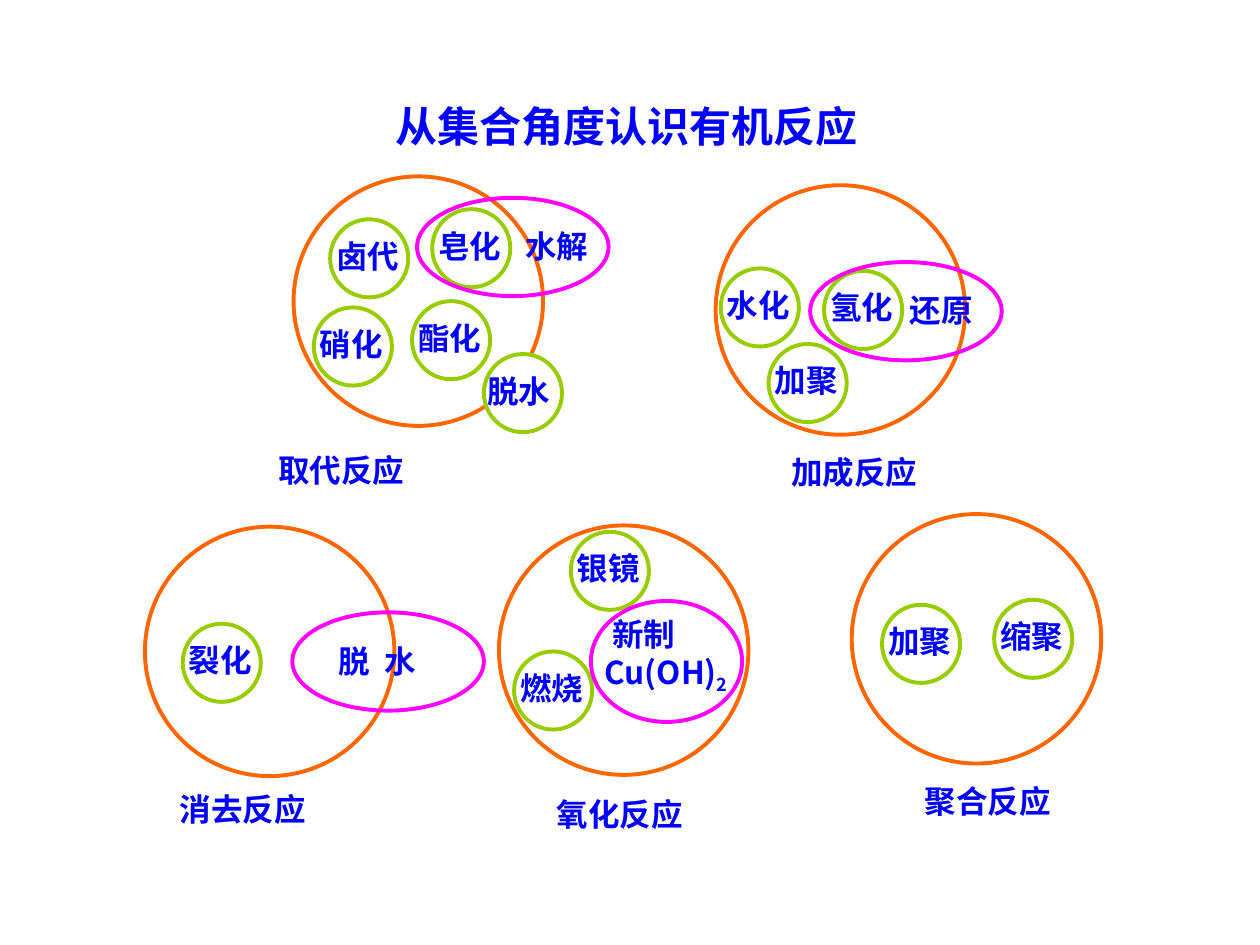
from lxml import etree
from pptx import Presentation
from pptx.dml.color import RGBColor
from pptx.enum.shapes import MSO_SHAPE
from pptx.enum.text import MSO_ANCHOR, MSO_AUTO_SIZE, PP_ALIGN
from pptx.oxml.ns import qn
from pptx.util import Inches, Pt

OVAL = MSO_SHAPE.OVAL
TOP = MSO_ANCHOR.TOP
FIXED_SIZE = MSO_AUTO_SIZE.NONE
LEFT = PP_ALIGN.LEFT

FONT = "Noto Sans CJK SC"
COLORS = {"text": "0000FF", "class": "FF6600", "reaction": "99CC00",
          "overlap": "FF00FF", "white": "FFFFFF"}
CLASS_SIZE = 1.98
REACTION_SIZE = 0.62
OVERLAP_WIDTH, OVERLAP_HEIGHT = 1.52, 0.78


class SetDiagram:
    """Draws the sets of reactions on one slide."""

    def __init__(self, slide):
        self.slide = slide

    def oval(self, shapes, left, top, width, height, color, fill=None):
        shape = shapes.add_shape(OVAL, Inches(left), Inches(top), Inches(width), Inches(height))
        shape.shadow.inherit = False
        if fill:
            shape.fill.solid()
            shape.fill.fore_color.rgb = RGBColor.from_string(COLORS[fill])
        else:
            shape.fill.background()
        shape.line.color.rgb = RGBColor.from_string(COLORS[color])
        shape.line.width = Pt(2.25)

    def run(self, paragraph, text, size=18):
        run = paragraph.add_run()
        run.text = text
        run.font.size = Pt(size)
        run.font.bold = True
        run.font.color.rgb = RGBColor.from_string(COLORS["text"])
        run.font.name = FONT
        properties = run.font._element
        etree.SubElement(properties, qn("a:ea")).set("typeface", FONT)
        return properties

    def text(self, shapes, text, left, top, width, height=0.49, spacing=1.3):
        box = shapes.add_textbox(Inches(left), Inches(top), Inches(width), Inches(height))
        box.text_frame.word_wrap = True
        paragraph = box.text_frame.paragraphs[0]
        paragraph.line_spacing = spacing
        self.run(paragraph, text)
        return box.text_frame

    def title(self, text, left, top, width, height):
        title = self.slide.shapes.title
        title.left, title.top = Inches(left), Inches(top)
        title.width, title.height = Inches(width), Inches(height)
        frame = title.text_frame
        frame.word_wrap = True
        frame.auto_size = FIXED_SIZE
        frame.vertical_anchor = TOP
        paragraph = frame.paragraphs[0]
        paragraph.alignment = LEFT
        self.run(paragraph, text, 24)

    def reaction_class(self, left, top):
        self.oval(self.slide.shapes, left, top, CLASS_SIZE, CLASS_SIZE, "class")

    def class_name(self, text, left, top):
        self.text(self.slide.shapes, text, left, top, 2.27, 0.4, 1.0)

    def reaction(self, text, left, top, fill=None, text_shift=-0.05):
        shapes = self.slide.shapes.add_group_shape().shapes
        self.oval(shapes, left, top, REACTION_SIZE, REACTION_SIZE, "reaction", fill)
        self.text(shapes, text, left + text_shift, top, 0.99)

    def overlap(self, text, left, top, text_left, text_top, tab=None):
        shapes = self.slide.shapes.add_group_shape().shapes
        self.oval(shapes, left, top, OVERLAP_WIDTH, OVERLAP_HEIGHT, "overlap")
        frame = self.text(shapes, text, text_left, text_top, 1.25)
        if tab:
            properties = frame.paragraphs[0]._p.get_or_add_pPr()
            stops = etree.SubElement(properties, qn("a:tabLst"))
            stop = etree.SubElement(stops, qn("a:tab"))
            stop.set("pos", str(Inches(tab)))
            stop.set("algn", "l")

    def copper_hydroxide(self, left, top):
        shapes = self.slide.shapes.add_group_shape().shapes
        self.oval(shapes, left, top, 1.2, 0.96, "overlap")
        frame = self.text(shapes, "新制", left + 0.01, top + 0.06, 1.47, 0.74, 1.0)
        frame.paragraphs[0]._p.get_or_add_pPr().set("marL", str(Inches(0.06)))
        formula = frame.add_paragraph()
        self.run(formula, "Cu(OH)")
        self.run(formula, "2").set("baseline", "-25000")


def main():
    presentation = Presentation()
    presentation.slide_width = Inches(10)
    presentation.slide_height = Inches(7.5)
    slide = presentation.slides.add_slide(presentation.slide_layouts[5])
    diagram = SetDiagram(slide)

    diagram.title("从集合角度认识有机反应", 3.04, 0.75, 4.26, 0.5)

    # Large circles: classes of reaction
    for left, top in [(2.33, 1.4), (1.15, 4.18), (3.96, 4.17), (6.76, 4.08), (5.68, 1.47)]:
        diagram.reaction_class(left, top)

    # Small circles: single reactions
    for text, left, top in [
        ("卤代", 2.62, 1.74), ("皂化", 3.43, 1.66), ("氢化", 6.54, 2.15),
        ("水化", 5.72, 2.13), ("加聚", 6.1, 2.73), ("裂化", 1.45, 4.95),
        ("硝化", 2.49, 2.44), ("酯化", 3.27, 2.39), ("银镜", 4.53, 4.22),
        ("燃烧", 4.08, 5.17), ("加聚", 7, 4.8), ("缩聚", 7.89, 4.76),
    ]:
        diagram.reaction(text, left, top)
    diagram.reaction("脱水", 3.84, 2.81, fill="white", text_shift=-0.07)

    # Ellipses: reactions that reach across a class
    diagram.overlap("水解", 3.31, 1.57, 4.07, 1.66)
    diagram.overlap("还原", 6.43, 2.08, 7.12, 2.17)
    diagram.overlap("脱\t水", 2.32, 4.86, 2.59, 4.96, tab=0.36)
    diagram.copper_hydroxide(4.69, 4.77)

    # Names of the classes
    for text, left, top in [
        ("取代反应", 2.11, 3.53), ("加成反应", 6.18, 3.55), ("消去反应", 1.33, 6.22),
        ("氧化反应", 4.32, 6.26), ("聚合反应", 7.24, 6.16),
    ]:
        diagram.class_name(text, left, top)

    presentation.save("out.pptx")


if __name__ == "__main__":
    main()
